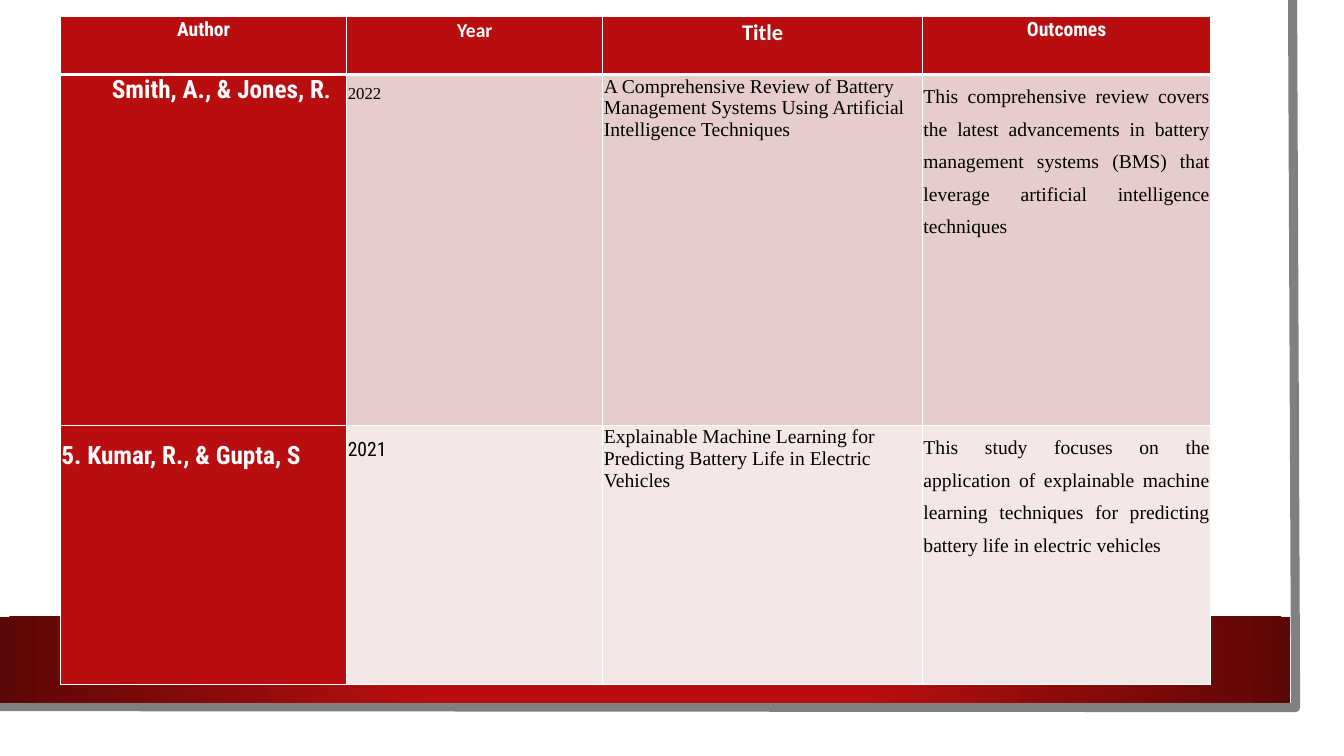
from dataclasses import dataclass, field

from lxml.etree import SubElement
from pptx import Presentation
from pptx.dml.color import RGBColor
from pptx.enum.shapes import MSO_SHAPE
from pptx.enum.text import PP_ALIGN
from pptx.oxml.ns import qn
from pptx.util import Inches, Pt

RED, DARK_RED, GREY, WHITE, BLACK = "B80E0F", "5C0707", "808080", "FFFFFF", "000000"
PINK, PALE = "E6CCCC", "F3E7E7"
ROBOTO, TIMES, CALIBRI = "Roboto Condensed", "Times New Roman", "Calibri"
COLUMN_WIDTHS = (2.84, 2.54, 3.17, 2.86)
ROW_HEIGHTS = (0.58, 3.48, 2.57)
CELL_MARGINS = {f"margin_{side}": Inches(0.01) for side in ("left", "top", "right", "bottom")}


@dataclass
class Run:
    text: str
    size: float = 14
    font: str = TIMES
    color: str = BLACK
    bold: bool = False


@dataclass
class Cell:
    runs: list[Run]
    fill: str
    format: dict = field(default_factory=dict)
    indent: float = 0


def rgb(color: str) -> RGBColor:
    return RGBColor.from_string(color)


def set_attrs(target, values: dict) -> None:
    for name, value in values.items():
        setattr(target, name, value)


def header(text: str, font: str = ROBOTO, size: float = 14) -> Cell:
    return Cell([Run(text, size, font, WHITE, True)], RED,
                {"alignment": PP_ALIGN.CENTER, "line_spacing": 1.07})


def outcome(text: str, fill: str) -> Cell:
    return Cell([Run(text)], fill, {"alignment": PP_ALIGN.JUSTIFY, "line_spacing": 1.5})


ROWS = [
    [header("Author"), header("Year", CALIBRI), header("Title", CALIBRI, 16), header("Outcomes")],
    [
        Cell([Run("Smith, A., & Jones, R", 18, ROBOTO, WHITE, True),
              Run(".", 16, TIMES, WHITE, True)], RED, {"level": 1}, 0.5),
        Cell([Run("2022", 12)], PINK, {"line_spacing": 1.5}),
        Cell([Run("A Comprehensive Review of Battery Management Systems Using "
                  "Artificial Intelligence Techniques")], PINK),
        outcome("This comprehensive review covers the latest advancements in battery management "
                "systems (BMS) that leverage artificial intelligence techniques", PINK),
    ],
    [
        Cell([Run("5. Kumar, R., & Gupta, S", 18, ROBOTO, WHITE, True)], RED, {"line_spacing": 1.5}),
        Cell([Run("2021", 14, ROBOTO)], PALE, {"line_spacing": 1.5}),
        Cell([Run("Explainable Machine Learning for Predicting Battery Life in "
                  "Electric Vehicles")], PALE),
        outcome("This study focuses on the application of explainable machine learning techniques "
                "for predicting battery life in electric vehicles", PALE),
    ],
]


def add_rect(s, left: float, top: float, width: float, height: float):
    sp = s.shapes.add_shape(MSO_SHAPE.RECTANGLE, Inches(left), Inches(top),
                            Inches(width), Inches(height))
    sp.shadow.inherit = False
    sp.line.fill.background()
    return sp


def add_backdrop(s) -> None:
    page = add_rect(s, 0, 0, 13.1, 7.27)
    page.fill.solid()
    page.fill.fore_color.rgb = rgb(WHITE)

    builder = s.shapes.build_freeform(Inches(12.82), 0)
    builder.add_line_segments([(Inches(12.85), Inches(7.02)), (Inches(-0.03), Inches(7.01))],
                              close=False)
    edge = builder.convert_to_shape()
    edge.shadow.inherit = False
    edge.fill.background()
    edge.line.color.rgb = rgb(GREY)
    edge.line.width = Pt(6.5)

    band = add_rect(s, 0, 6.12, 12.8, 0.85)
    band.fill.gradient()
    for stop, color, position in zip(band.fill.gradient_stops, (RED, DARK_RED), (0.34, 1)):
        stop.color.rgb = rgb(color)
        stop.position = position
    gradient = band._element.spPr.find(qn("a:gradFill"))
    gradient.remove(gradient.find(qn("a:lin")))
    circle = SubElement(gradient, qn("a:path"), {"path": "circle"})
    SubElement(circle, qn("a:fillToRect"), dict.fromkeys("ltrb", "50000"))


def add_borders(cell, widths: dict[str, float]) -> None:
    tcPr = cell._tc.get_or_add_tcPr()
    for side, width in widths.items():
        line = SubElement(tcPr, qn(f"a:ln{side}"), {"w": str(Pt(width))})
        SubElement(SubElement(line, qn("a:solidFill")), qn("a:srgbClr"), {"val": WHITE})


def fill_cell(cell, content: Cell, widths: dict[str, float]) -> None:
    set_attrs(cell, CELL_MARGINS)
    add_borders(cell, widths)
    cell.fill.solid()
    cell.fill.fore_color.rgb = rgb(content.fill)
    p = cell.text_frame.paragraphs[0]
    set_attrs(p, content.format)
    if content.indent:
        pPr = p._p.get_or_add_pPr()
        pPr.set("marL", str(Inches(content.indent)))
        pPr.set("indent", "0")
    for run in content.runs:
        r = p.add_run()
        r.text = run.text
        set_attrs(r.font, {"size": Pt(run.size), "name": run.font, "bold": run.bold})
        r.font.color.rgb = rgb(run.color)


def add_review_table(s) -> None:
    table = s.shapes.add_table(len(ROWS), len(COLUMN_WIDTHS), Inches(0.6), Inches(0.16),
                               Inches(sum(COLUMN_WIDTHS)), Inches(sum(ROW_HEIGHTS))).table
    set_attrs(table, {"first_row": False, "horz_banding": False})
    for column, width in zip(table.columns, COLUMN_WIDTHS):
        column.width = Inches(width)
    for i, (row, height, contents) in enumerate(zip(table.rows, ROW_HEIGHTS, ROWS)):
        row.height = Inches(height)
        widths = {"L": 1, "R": 1, "T": 3 if i == 1 else 1, "B": 3 if i == 0 else 1}
        for cell, content in zip(row.cells, contents):
            fill_cell(cell, content, widths)


def main() -> None:
    prs = Presentation()
    set_attrs(prs, {"slide_width": Inches(13.33), "slide_height": Inches(7.5)})
    s = prs.slides.add_slide(prs.slide_layouts[6])
    add_backdrop(s)
    add_review_table(s)
    prs.save("out.pptx")


if __name__ == "__main__":
    main()
